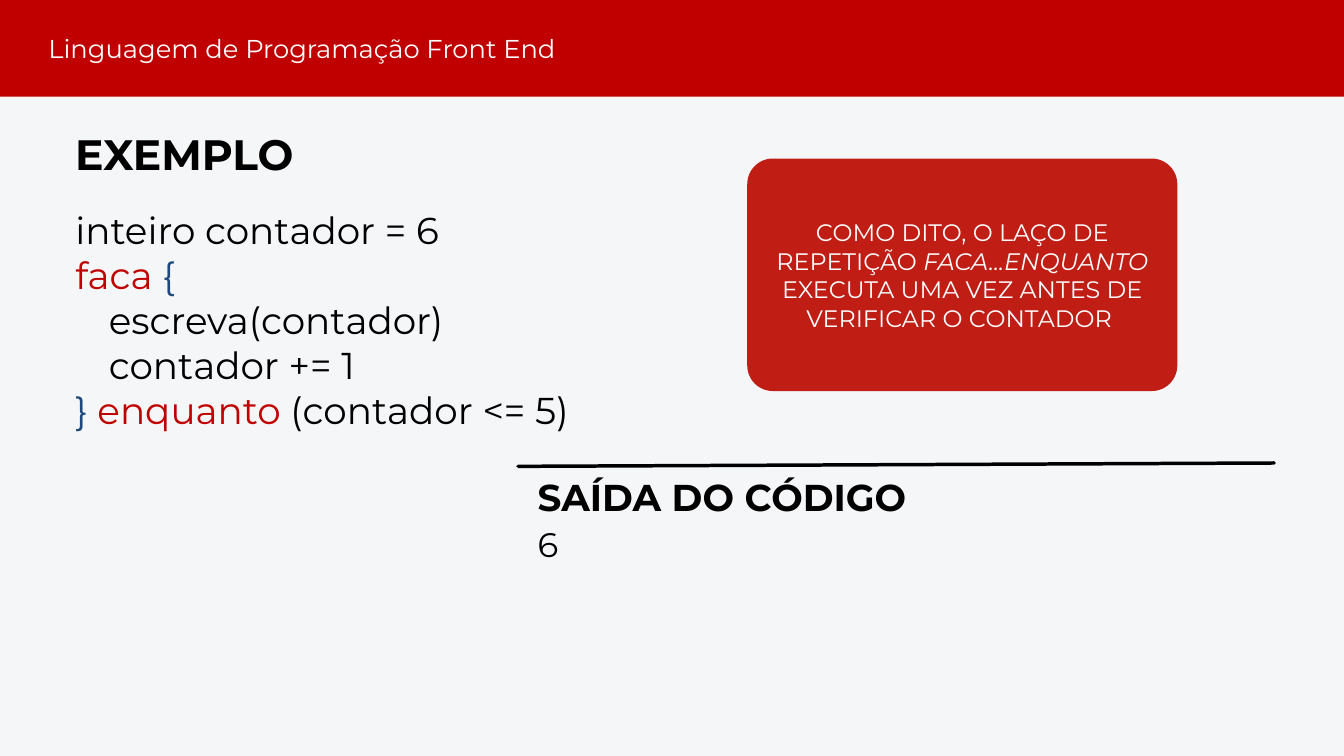
from dataclasses import dataclass

from lxml.etree import SubElement
from pptx import Presentation
from pptx.dml.color import RGBColor
from pptx.enum.shapes import MSO_CONNECTOR, MSO_SHAPE
from pptx.enum.text import MSO_ANCHOR, MSO_AUTO_SIZE, PP_ALIGN
from pptx.oxml.ns import qn
from pptx.slide import Slide
from pptx.text.text import TextFrame
from pptx.util import Pt

EMU_PER_PX = 9144
FONT = "Montserrat"
BLACK, WHITE, RED, BLUE = "000000", "FFFFFF", "C00000", "1F497D"
BACKGROUND, CALLOUT_RED = "F5F6F8", "C01D15"


@dataclass(frozen=True)
class Box:
    left: int
    top: int
    width: int
    height: int


@dataclass(frozen=True)
class Span:
    text: str
    color: str = BLACK
    bold: bool = False
    italic: bool = False


@dataclass(frozen=True)
class TextBlock:
    box: Box
    size: float
    spacing: float
    lines: tuple[tuple[Span, ...], ...]
    align: PP_ALIGN = PP_ALIGN.LEFT


TEXT_BLOCKS = (
    TextBlock(Box(112, 190, 620, 74), 45.5, 54.6, ((Span("EXEMPLO", bold=True),),)),
    TextBlock(
        Box(112, 309, 1658, 333), 40, 48,
        (
            (Span("inteiro contador = 6"),),
            (Span("faca ", RED), Span("{", BLUE)),
            (Span("\tescreva(contador)"),),
            (Span("\tcontador += 1"),),
            (Span("} ", BLUE), Span("enquanto ", RED), Span("(contador <= 5)")),
        ),
        PP_ALIGN.JUSTIFY,
    ),
    TextBlock(Box(800, 705, 620, 134), 40, 48, ((Span("SAÍDA DO CÓDIGO", bold=True),),)),
    TextBlock(Box(800, 779, 677, 59), 36.4, 43.6, ((Span("6"),),), PP_ALIGN.JUSTIFY),
    TextBlock(
        Box(72, 48, 829, 47), 27.6, 33.2,
        ((Span("Linguagem de Programação Front End", WHITE),),),
    ),
)
CALLOUT = TextBlock(
    Box(1112, 236, 640, 346), 25.5, 30.6,
    ((
        Span("COMO DITO, O LAÇO DE REPETIÇÃO ", WHITE),
        Span("FACA...ENQUANTO", WHITE, italic=True),
        Span(" EXECUTA UMA VEZ ANTES DE VERIFICAR O CONTADOR ", WHITE),
    ),),
    PP_ALIGN.CENTER,
)


def px(length: int) -> int:
    return length * EMU_PER_PX


def rgb(color: str) -> RGBColor:
    return RGBColor.from_string(color)


def place(box: Box) -> tuple[int, ...]:
    return tuple(px(value) for value in (box.left, box.top, box.width, box.height))


def set_attributes(target: object, values: dict[str, object]) -> None:
    for name, value in values.items():
        setattr(target, name, value)


def write_text(frame: TextFrame, block: TextBlock, margin: int = 0) -> None:
    sides = ("left", "top", "right", "bottom")
    set_attributes(frame, {f"margin_{side}": px(margin) for side in sides})
    frame.word_wrap = True
    for index, line in enumerate(block.lines):
        paragraph = frame.add_paragraph() if index else frame.paragraphs[0]
        set_attributes(paragraph, {"alignment": block.align, "line_spacing": Pt(block.spacing)})
        for span in line:
            run = paragraph.add_run()
            run.text = span.text
            set_attributes(run.font, {
                "name": FONT, "size": Pt(block.size), "bold": span.bold, "italic": span.italic,
            })
            run.font.color.rgb = rgb(span.color)


def add_text(slide: Slide, block: TextBlock) -> None:
    frame = slide.shapes.add_textbox(*place(block.box)).text_frame
    write_text(frame, block)
    frame.auto_size = MSO_AUTO_SIZE.SHAPE_TO_FIT_TEXT


def add_panel(slide: Slide, kind: MSO_SHAPE, box: Box, color: str):
    shape = slide.shapes.add_shape(kind, *place(box))
    shape.shadow.inherit = False
    shape.fill.solid()
    shape.fill.fore_color.rgb = rgb(color)
    shape.line.fill.background()
    return shape


def add_callout(slide: Slide, block: TextBlock) -> None:
    shape = add_panel(slide, MSO_SHAPE.ROUNDED_RECTANGLE, block.box, CALLOUT_RED)
    shape.adjustments[0] = 0.11
    shape.text_frame.vertical_anchor = MSO_ANCHOR.MIDDLE
    write_text(shape.text_frame, block, margin=6)


def add_divider(slide: Slide) -> None:
    ends = (px(value) for value in (1896, 689, 771, 694))
    connector = slide.shapes.add_connector(MSO_CONNECTOR.STRAIGHT, *ends)
    connector.line.color.rgb = rgb(BLACK)
    connector.line.width = Pt(3.75)
    properties = connector.element.find(qn("p:spPr"))
    line = properties.find(qn("a:ln"))
    line.set("cap", "rnd")
    SubElement(properties, qn("a:effectLst"))


def main() -> None:
    """Build the slide with the do-while example and its output."""
    presentation = Presentation()
    set_attributes(presentation, {"slide_width": px(2000), "slide_height": px(1125)})
    slide = presentation.slides.add_slide(presentation.slide_layouts[6])
    slide.background.fill.solid()
    slide.background.fill.fore_color.rgb = rgb(BACKGROUND)
    add_panel(slide, MSO_SHAPE.RECTANGLE, Box(0, 0, 2000, 144), RED)
    for block in TEXT_BLOCKS:
        add_text(slide, block)
    add_divider(slide)
    add_callout(slide, CALLOUT)
    presentation.save("out.pptx")


if __name__ == "__main__":
    main()
